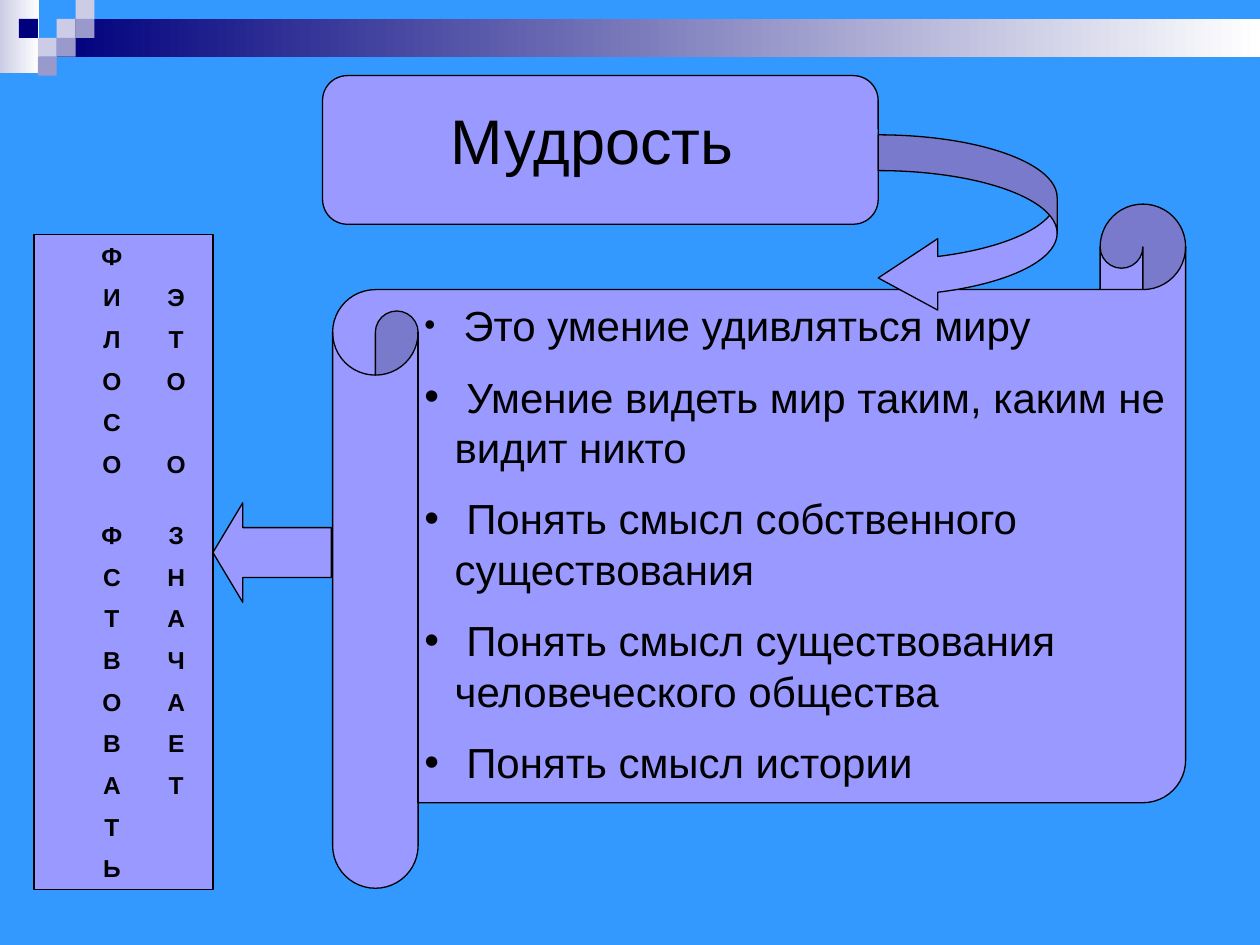
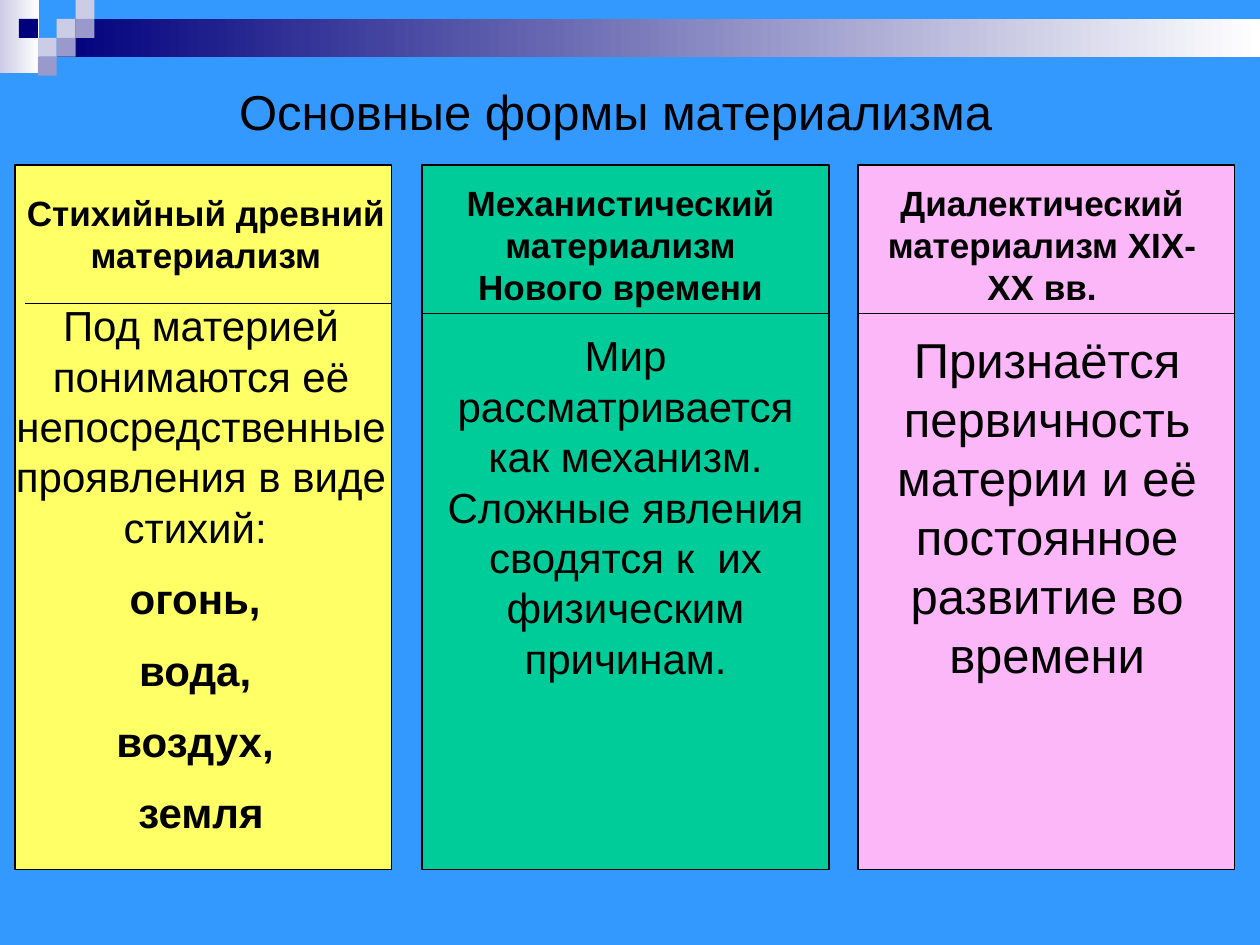
from lxml import etree
from pptx import Presentation
from pptx.dml.color import RGBColor
from pptx.enum.shapes import MSO_CONNECTOR as CONNECTOR, MSO_SHAPE as SHAPE
from pptx.enum.text import PP_ALIGN as ALIGN
from pptx.oxml.ns import qn
from pptx.util import Inches, Pt

SKY = RGBColor(0x33, 0x99, 0xFF)
NAVY = RGBColor(0x00, 0x00, 0x7D)
PALE = RGBColor(0xCC, 0xCC, 0xE6)
MUTED = RGBColor(0x99, 0x99, 0xCC)
VIOLET = RGBColor(0x99, 0x99, 0xFF)
YELLOW = RGBColor(0xFF, 0xFF, 0x66)
GREEN = RGBColor(0x00, 0xCC, 0x99)
PINK = RGBColor(0xFB, 0xB7, 0xF8)
WHITE = RGBColor(0xFF, 0xFF, 0xFF)
BLACK = RGBColor(0, 0, 0)
FONT = "Arial"
OUTLINE = Pt(0.75)

MOSAIC_STEP = 0.15
MOSAIC = [(3, 1, PALE), (4, 0, PALE), (4, 1, MUTED), (2, 2, PALE),
          (1, 1, NAVY), (3, 2, MUTED), (2, 3, MUTED)]

WISDOM = ["Это умение удивляться миру",
          "Умение видеть мир таким, каким не видит никто",
          "Понять смысл собственного существования",
          "Понять смысл существования человеческого общества",
          "Понять смысл истории"]
LETTER_ROWS = ["Ф", "ИЭ", "ЛТ", "ОО", "С", "ОО", "ФЗ", "СН",
               "ТА", "ВЧ", "ОА", "ВЕ", "АТ", "Т", "Ь"]
SECOND_HALF = 6
LETTER_TABS = (0.59, 1.1)

PANEL_TOP, PANEL_HEIGHT = 1.31, 5.59
PANELS = [
    (0.12, 2.99, YELLOW, (0, 1.47, 3.27, 0.77), "Стихийный древний материализм",
     (0.2, 3.11, 2.41), (0, 2.33, 3.19, 4.49), 24,
     ["Под материей понимаются её непосредственные проявления в виде стихий: ",
      "огонь, ", "вода, ", "воздух, ", "земля"]),
    (3.35, 3.23, GREEN, (3.43, 1.39, 2.99, 1.1), "Механистический материализм Нового времени",
     (3.35, 6.58, 2.49), (3.43, 2.57, 3.07, 2.9), 24,
     ["Мир рассматривается как механизм. Сложные явления сводятся к  их физическим причинам."]),
    (6.81, 2.99, PINK, (6.89, 1.39, 2.76, 1.1), "Диалектический материализм XIX-XX вв.",
     (6.81, 9.8, 2.49), (6.97, 2.57, 2.68, 2.9), 28,
     ["Признаётся первичность материи и её постоянное развитие во времени"]),
]


def add_plain(slide, kind, box, line=None):
    """Add a shadowless preset shape, outlined only if a line colour is given."""
    shape = slide.shapes.add_shape(kind, *map(Inches, box))
    shape.shadow.inherit = False
    if line is None:
        shape.line.fill.background()
    else:
        shape.line.color.rgb = line
        shape.line.width = OUTLINE
    return shape


def add_filled(slide, kind, box, color, line=None, adjust=()):
    """Add a preset shape with a solid fill and optional adjustments."""
    shape = add_plain(slide, kind, box, line)
    shape.fill.solid()
    shape.fill.fore_color.rgb = color
    for index, value in enumerate(adjust):
        shape.adjustments[index] = value


def add_fade(slide, box, start):
    """Add a horizontal gradient band that fades to white."""
    fill = add_plain(slide, SHAPE.RECTANGLE, box).fill
    fill.gradient()
    fill.gradient_angle = 0
    for stop, color in zip(fill.gradient_stops, (start, WHITE)):
        stop.color.rgb = color


def add_rule(slide, left, right, y):
    """Add a thin black horizontal line."""
    rule = slide.shapes.add_connector(
        CONNECTOR.STRAIGHT, Inches(left), Inches(y), Inches(right), Inches(y))
    rule.line.color.rgb = BLACK
    rule.line.width = OUTLINE
    etree.SubElement(rule._element.spPr, qn("a:effectLst"))


def style(paragraph, size, bold=False):
    """Set the shared font on a paragraph."""
    font = paragraph.font
    font.name, font.size, font.bold = FONT, Pt(size), bold
    font.color.rgb = BLACK


def add_paragraphs(slide, box, count, size):
    """Add a wrapping text box and return its paragraphs, half a line apart."""
    frame = slide.shapes.add_textbox(*map(Inches, box)).text_frame
    frame.word_wrap = True
    for _ in range(count - 1):
        frame.add_paragraph().space_before = Pt(size / 2)
    return frame.paragraphs


def add_centred(slide, box, texts, size, bold=False, bold_rest=False):
    """Add centred paragraphs; those after the first may be bold."""
    for index, (paragraph, text) in enumerate(
            zip(add_paragraphs(slide, box, len(texts), size), texts)):
        paragraph.text = text
        paragraph.alignment = ALIGN.CENTER
        style(paragraph, size, bold or (bold_rest and index > 0))


def add_bullets(slide, box, texts, size, first_bullet_size):
    """Add a hanging bulleted list whose first bullet is smaller."""
    for index, (paragraph, text) in enumerate(
            zip(add_paragraphs(slide, box, len(texts), size), texts)):
        props = paragraph._p.get_or_add_pPr()
        props.set("marL", str(Inches(0.24)))
        props.set("indent", str(-Inches(0.24)))
        etree.SubElement(props, qn("a:buFont"), typeface=FONT)
        etree.SubElement(props, qn("a:buChar"), char="•")
        style(paragraph, size)
        lead = paragraph.add_run()
        lead.text = " "
        if index == 0:
            lead.font.size = Pt(first_bullet_size)
        paragraph.add_run().text = text


def add_letter_columns(slide, box, rows, size):
    """Add words written downwards in two columns on centred tab stops."""
    paragraphs = add_paragraphs(slide, box, len(rows), size)
    paragraphs[SECOND_HALF].space_before = Pt(size * 1.7)
    for paragraph, row in zip(paragraphs, rows):
        tabs = etree.SubElement(paragraph._p.get_or_add_pPr(), qn("a:tabLst"))
        for position in LETTER_TABS:
            etree.SubElement(tabs, qn("a:tab"), pos=str(Inches(position)), algn="ctr")
        style(paragraph, size, bold=True)
        paragraph.add_run().text = "".join("\t" + letter for letter in row)


def add_themed_slide(prs):
    """Add a blank slide with the blue background, top band and mosaic."""
    slide = prs.slides.add_slide(prs.slide_layouts[6])
    slide.background.fill.solid()
    slide.background.fill.fore_color.rgb = SKY
    add_fade(slide, (0, 0, 0.31, 0.58), PALE)
    add_fade(slide, (0.45, 0.15, 9.55, 0.3), NAVY)
    for column, row, color in MOSAIC:
        add_filled(slide, SHAPE.RECTANGLE,
                   (column * MOSAIC_STEP, row * MOSAIC_STEP, MOSAIC_STEP, MOSAIC_STEP), color)
    return slide


def build_wisdom(prs):
    """Build the slide on wisdom and what philosophising means."""
    slide = add_themed_slide(prs)
    add_filled(slide, SHAPE.ROUNDED_RECTANGLE, (2.56, 0.6, 4.41, 1.18), VIOLET, BLACK, [0.167])
    add_centred(slide, (2.8, 0.76, 3.94, 0.7), ["Мудрость "], 36)
    add_filled(slide, SHAPE.HORIZONTAL_SCROLL, (2.64, 1.62, 6.77, 5.43), VIOLET, BLACK, [0.125])
    add_bullets(slide, (3.27, 2.33, 6.22, 4.69), WISDOM, 24, 18)
    add_filled(slide, SHAPE.RECTANGLE, (0.27, 1.86, 1.42, 5.2), VIOLET, BLACK)
    add_letter_columns(slide, (0.2, 1.86, 1.42, 5.22), LETTER_ROWS, 14)
    add_filled(slide, SHAPE.CURVED_LEFT_ARROW, (6.97, 1.07, 1.42, 1.42), VIOLET, BLACK,
               [0.2, 0.4, 0.333])
    add_filled(slide, SHAPE.LEFT_ARROW, (1.69, 3.99, 0.94, 0.79), VIOLET, BLACK, [0.5, 0.3])


def build_materialism(prs):
    """Build the slide comparing three forms of materialism."""
    slide = add_themed_slide(prs)
    add_centred(slide, (0.83, 0.6, 8.11, 0.57), ["Основные формы материализма"], 28)
    for left, width, color, heading_box, heading, rule, body_box, size, body in PANELS:
        add_filled(slide, SHAPE.RECTANGLE, (left, PANEL_TOP, width, PANEL_HEIGHT), color, BLACK)
        add_centred(slide, heading_box, [heading], 20, bold=True)
        add_rule(slide, *rule)
        add_centred(slide, body_box, body, size, bold_rest=True)


def main():
    """Build and save the presentation."""
    prs = Presentation()
    prs.slide_width, prs.slide_height = Inches(10), Inches(7.5)
    build_wisdom(prs)
    build_materialism(prs)
    prs.save("out.pptx")


if __name__ == "__main__":
    main()
